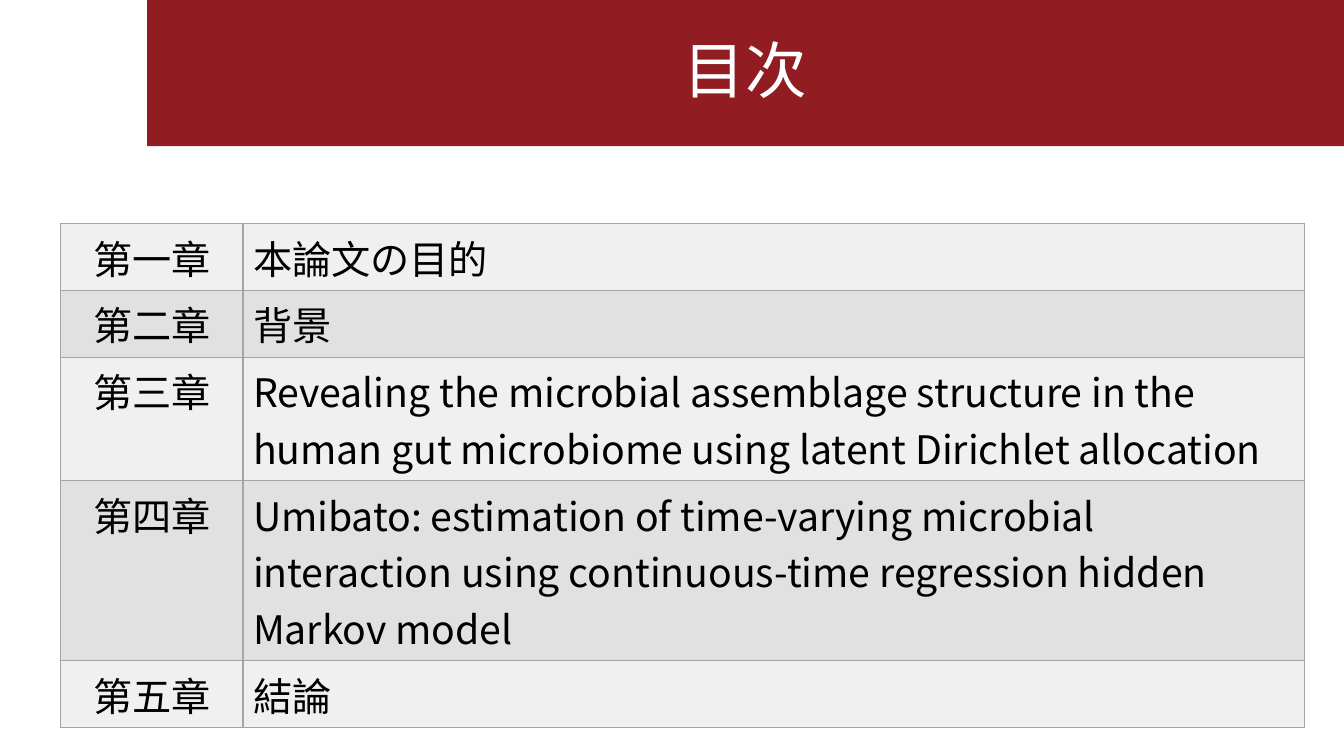
"""Build the table-of-contents slide of a thesis talk."""
from lxml.etree import SubElement
from pptx import Presentation
from pptx.dml.color import RGBColor
from pptx.enum.text import MSO_ANCHOR, MSO_AUTO_SIZE, PP_ALIGN
from pptx.oxml.ns import qn
from pptx.util import Inches, Pt

THEME = {
    "font": "Noto Sans CJK JP",
    "banner": "911D22",
    "banner_text": "FFFFFF",
    "text": "000000",
    "bands": ("F0F0F0", "E1E1E1"),
    "border": "A5A5A5",
    "border_width": Pt(1),
    "title_size": Pt(44),
    "chapter_size": Pt(28),
}
CHAPTERS = [
    ("第一章", "本論文の目的", 0.65),
    ("第二章", "背景", 0.65),
    ("第三章", "Revealing the microbial assemblage structure in the human gut "
     "microbiome using latent Dirichlet allocation", 1.12),
    ("第四章", "Umibato: estimation of time-varying microbial interaction using "
     "continuous-time regression hidden Markov model", 1.12),
    ("第五章", "結論", 0.65),
]
COLUMNS = (1.81, 10.53)
ALIGNMENTS = (PP_ALIGN.CENTER, PP_ALIGN.LEFT)


def write(frame, words, size, color, alignment):
    """Put one formatted line of text into a text frame."""
    paragraph = frame.paragraphs[0]
    paragraph.alignment = alignment
    run = paragraph.add_run()
    run.text = words
    for attribute, value in {"name": THEME["font"], "size": size, "bold": False}.items():
        setattr(run.font, attribute, value)
    run.font.color.rgb = RGBColor.from_string(color)
    SubElement(run.font._element, qn("a:ea"), typeface=THEME["font"])


def draw_borders(cell):
    """Rule all four sides of a table cell."""
    properties = cell._tc.get_or_add_tcPr()
    for side in ("lnL", "lnR", "lnT", "lnB"):
        line = SubElement(properties, qn(f"a:{side}"), w=str(THEME["border_width"]))
        fill = SubElement(line, qn("a:solidFill"))
        SubElement(fill, qn("a:srgbClr"), val=THEME["border"])


deck = Presentation()
deck.slide_width, deck.slide_height = Inches(13.33), Inches(7.5)
slide = deck.slides.add_slide(deck.slide_layouts[5])

banner = slide.shapes.title
banner_box = {"left": 1.46, "top": 0, "width": 11.87, "height": 1.45}
for attribute, value in banner_box.items():
    setattr(banner, attribute, Inches(value))
banner.fill.solid()
banner.fill.fore_color.rgb = RGBColor.from_string(THEME["banner"])
banner_format = {"vertical_anchor": MSO_ANCHOR.MIDDLE, "auto_size": MSO_AUTO_SIZE.NONE,
                 "word_wrap": True}
for attribute, value in banner_format.items():
    setattr(banner.text_frame, attribute, value)
write(banner.text_frame, "目次", THEME["title_size"], THEME["banner_text"], PP_ALIGN.CENTER)
banner.text_frame.paragraphs[0].line_spacing = 0.9

contents = slide.shapes.add_table(
    len(CHAPTERS), len(COLUMNS), Inches(0.6), Inches(2.22), Inches(sum(COLUMNS)),
    Inches(sum(height for *_, height in CHAPTERS))).table
contents.first_row = contents.horz_banding = False
for column, width in zip(contents.columns, COLUMNS):
    column.width = Inches(width)

for index, (number, heading, height) in enumerate(CHAPTERS):
    contents.rows[index].height = Inches(height)
    band = THEME["bands"][index % 2]
    for cell, words, alignment in zip(contents.rows[index].cells, (number, heading), ALIGNMENTS):
        draw_borders(cell)
        cell.fill.solid()
        cell.fill.fore_color.rgb = RGBColor.from_string(band)
        write(cell.text_frame, words, THEME["chapter_size"], THEME["text"], alignment)

deck.save("out.pptx")
